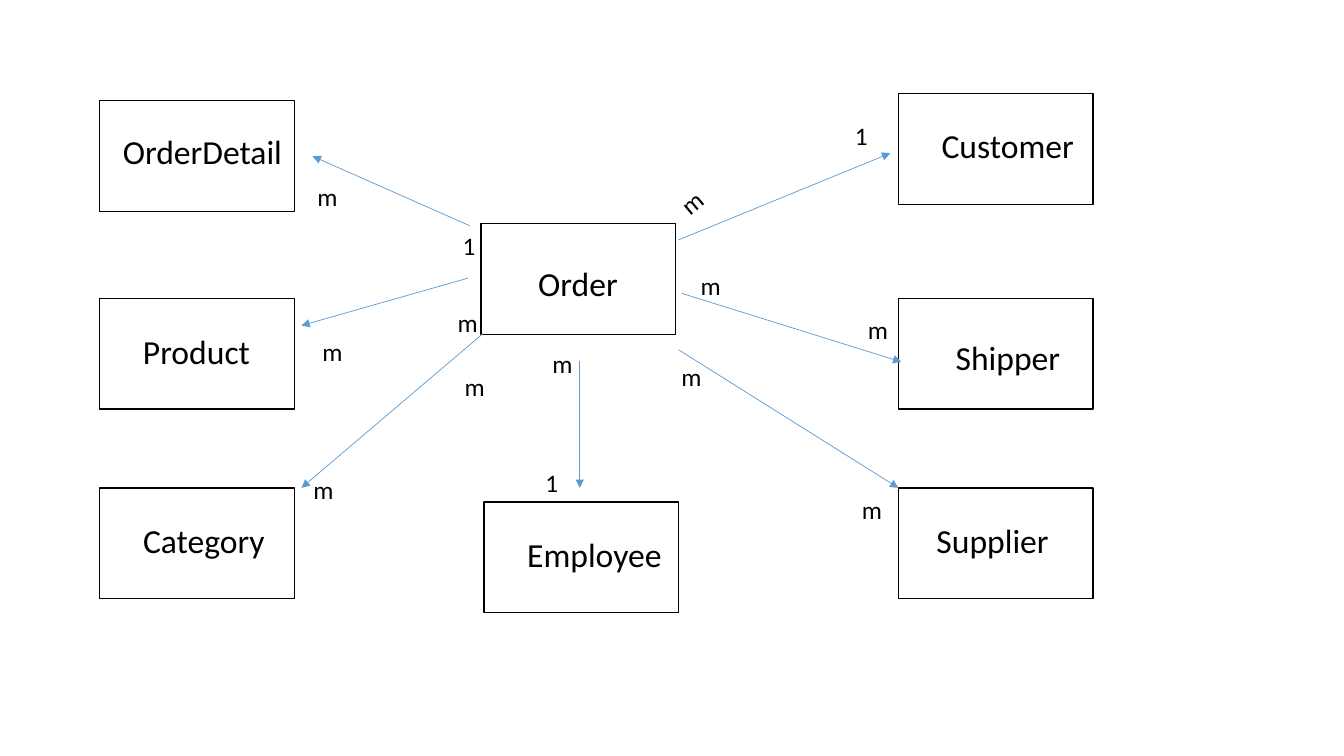
"""Build a slide showing how Order relates to the other entities."""
from lxml import etree
from pptx import Presentation
from pptx import util as u
from pptx.dml.color import RGBColor
from pptx.enum import shapes, text
from pptx.oxml.ns import qn

BLACK = RGBColor(0x00, 0x00, 0x00)
WHITE = RGBColor(0xFF, 0xFF, 0xFF)
BLUE = RGBColor(0x5B, 0x9B, 0xD5)
FONT = "Calibri"

BOX_WIDTH, BOX_HEIGHT = 1.93, 1.1
LEFT, RIGHT = 0.99, 8.91
MIDDLE_ROW, BOTTOM_ROW = 2.96, 4.84
NAME_SIZE, NAME_HEIGHT = 24, 0.5
MARK_SIZE, MARK_HEIGHT = 18, 0.4
MARK_WIDTHS = {"1": 0.33, "m": 0.4}

# name, box left, box top, name left, name top, name width
ENTITIES = [
    ("Customer", RIGHT, 0.93, 9.24, 1.19, 1.53),
    ("Category", LEFT, BOTTOM_ROW, 1.32, 5.11, 1.42),
    ("Employee", 4.8, 4.98, 5.13, 5.25, 1.55),
    ("Product", LEFT, MIDDLE_ROW, 1.32, 3.23, 1.27),
    ("OrderDetail", LEFT, 1.0, 1.12, 1.25, 1.8),
    ("Order", 4.77, 2.22, 5.24, 2.56, 1.0),
    ("Shipper", RIGHT, MIDDLE_ROW, 9.38, 3.29, 1.25),
    ("Supplier", RIGHT, BOTTOM_ROW, 9.19, 5.11, 1.33),
]

ARROWS = {
    "Customer": (6.73, 2.38, 8.83, 1.52),
    "Shipper": (6.76, 2.91, 8.94, 3.59),
    "Employee": (5.75, 3.58, 5.75, 4.84),
    "Supplier": (6.73, 3.47, 8.91, 4.84),
    "Category": (4.79, 3.31, 2.99, 4.84),
    "Product": (4.64, 2.76, 2.99, 3.23),
    "OrderDetail": (4.66, 2.24, 3.1, 1.55),
}

# mark, left, top, rotation
MARKS = [
    ("m", 6.66, 1.81, 320.1), ("1", 8.38, 1.14, 0),
    ("m", 6.85, 2.63, 0), ("m", 8.51, 3.07, 0),
    ("m", 5.38, 3.41, 0), ("1", 5.31, 4.59, 0),
    ("m", 6.66, 3.54, 0), ("m", 8.45, 4.85, 0),
    ("m", 4.51, 3.63, 0), ("m", 3.01, 4.66, 0),
    ("m", 4.44, 3.0, 0), ("m", 3.1, 3.29, 0),
    ("1", 4.49, 2.24, 0), ("m", 3.05, 1.75, 0),
]


def add_box(slide, left, top):
    box = slide.shapes.add_shape(
        shapes.MSO_SHAPE.RECTANGLE,
        *map(u.Inches, (left, top, BOX_WIDTH, BOX_HEIGHT)))
    box.shadow.inherit = False
    box.fill.solid()
    box.fill.fore_color.rgb = WHITE
    box.line.color.rgb = BLACK
    box.line.width = u.Pt(1)


def add_label(slide, wording, left, top, width, height, size, rotation=0):
    label = slide.shapes.add_textbox(
        *map(u.Inches, (left, top, width, height)))
    label.rotation = rotation
    frame = label.text_frame
    frame.word_wrap = False
    frame.auto_size = text.MSO_AUTO_SIZE.SHAPE_TO_FIT_TEXT
    run = frame.paragraphs[0].add_run()
    run.text = wording
    run.font.name = FONT
    run.font.size = u.Pt(size)
    run.font.color.rgb = BLACK


def add_arrow(slide, ends):
    arrow = slide.shapes.add_connector(
        shapes.MSO_CONNECTOR.STRAIGHT, *map(u.Inches, ends))
    arrow.line.color.rgb = BLUE
    arrow.line.width = u.Pt(0.5)
    properties = arrow.element.spPr
    line = properties.find(qn("a:ln"))
    etree.SubElement(line, qn("a:tailEnd"), type="triangle")
    etree.SubElement(properties, qn("a:effectLst"))


def main():
    presentation = Presentation()
    presentation.slide_width = u.Inches(13.33)
    presentation.slide_height = u.Inches(7.5)
    slide = presentation.slides.add_slide(presentation.slide_layouts[6])
    for name, left, top, name_left, name_top, name_width in ENTITIES:
        add_box(slide, left, top)
        add_label(slide, name, name_left, name_top, name_width,
                  NAME_HEIGHT, NAME_SIZE)
    for ends in ARROWS.values():
        add_arrow(slide, ends)
    for mark, left, top, rotation in MARKS:
        add_label(slide, mark, left, top, MARK_WIDTHS[mark],
                  MARK_HEIGHT, MARK_SIZE, rotation)
    presentation.save("out.pptx")


if __name__ == "__main__":
    main()
